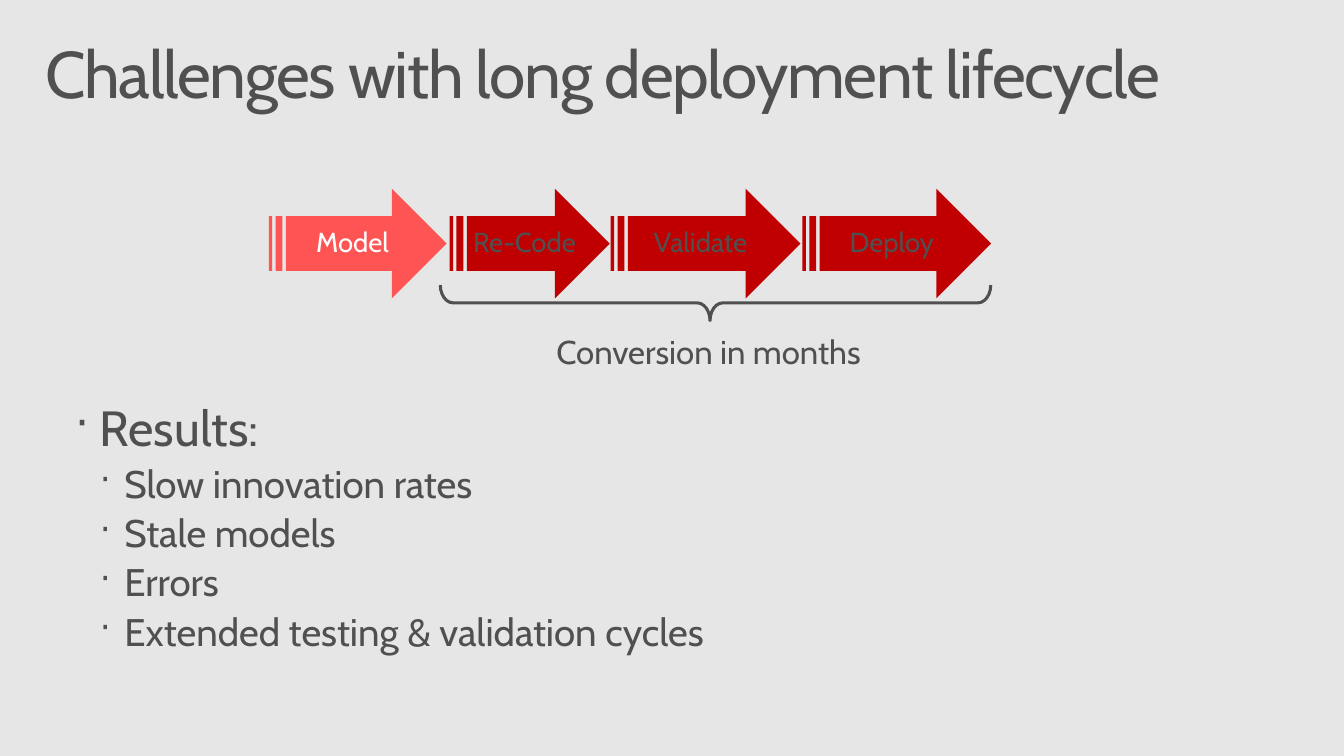
from dataclasses import dataclass

from lxml import etree
from pptx import Presentation
from pptx.dml.color import RGBColor
from pptx.enum.shapes import MSO_SHAPE
from pptx.enum.text import MSO_ANCHOR, PP_ALIGN
from pptx.oxml.ns import qn
from pptx.util import Inches, Pt

STRIPED_ARROW = MSO_SHAPE.STRIPED_RIGHT_ARROW
RIGHT_BRACE = MSO_SHAPE.RIGHT_BRACE
TOP, MIDDLE = MSO_ANCHOR.TOP, MSO_ANCHOR.MIDDLE
LEFT, CENTER = PP_ALIGN.LEFT, PP_ALIGN.CENTER
TITLE_ONLY = 5


@dataclass(frozen=True)
class Theme:
    font: str = "Cabin"
    background: RGBColor = RGBColor(0xE6, 0xE6, 0xE6)
    text: RGBColor = RGBColor(0x50, 0x50, 0x50)
    white: RGBColor = RGBColor(0xFF, 0xFF, 0xFF)
    model: RGBColor = RGBColor(0xFF, 0x54, 0x54)
    conversion: RGBColor = RGBColor(0xC0, 0x00, 0x00)
    title_size: int = 48
    heading_size: int = 36
    item_size: int = 28
    caption_size: int = 24
    arrow_size: int = 20


theme = Theme()


def set_frame(frame, side, vertical, anchor=TOP):
    frame.word_wrap = True
    frame.vertical_anchor = anchor
    frame.margin_left = frame.margin_right = Inches(side)
    frame.margin_top = frame.margin_bottom = Inches(vertical)


def write(paragraph, text, size, color=theme.text, align=LEFT):
    paragraph.text = text
    paragraph.alignment = align
    paragraph.line_spacing = 0.9
    paragraph.font.name = theme.font
    paragraph.font.size = Pt(size)
    paragraph.font.color.rgb = color


presentation = Presentation()
presentation.slide_width = Inches(13.6)
presentation.slide_height = Inches(7.65)
slide = presentation.slides.add_slide(presentation.slide_layouts[TITLE_ONLY])
slide.background.fill.solid()
slide.background.fill.fore_color.rgb = theme.background

# Title
title = slide.shapes.title
title.left, title.top = Inches(0.3), Inches(0.32)
title.width, title.height = Inches(13), Inches(1)
set_frame(title.text_frame, 0.16, 0.1)
title_paragraph = title.text_frame.paragraphs[0]
write(title_paragraph, "Challenges with long deployment lifecycle", theme.title_size)
title_paragraph.runs[0].font._element.set("spc", "-100")

# Results list
results = slide.shapes.add_textbox(Inches(0.6), Inches(3.99), Inches(13), Inches(2.82))
set_frame(results.text_frame, 0.16, 0.1)
result_lines = [
    ("Results:", 0),
    ("Slow innovation rates", 1),
    ("Stale models", 1),
    ("Errors", 1),
    ("Extended testing & validation cycles", 1),
]
for index, (text, level) in enumerate(result_lines):
    paragraph = results.text_frame.paragraphs[0] if index == 0 else results.text_frame.add_paragraph()
    size = theme.item_size if level else theme.heading_size
    write(paragraph, text, size)
    paragraph.level = level
    paragraph.space_before = Pt(0.2 * size)
    properties = paragraph._p.get_or_add_pPr()
    properties.set("marL", str(Inches(0.25 * (level + 1))))
    properties.set("indent", str(Inches(-0.25)))
    bullet_size = etree.Element(qn("a:buSzPct"), val="90000")
    bullet = etree.Element(qn("a:buChar"), char="·")
    spacing = properties.find(qn("a:spcBef"))
    spacing.addnext(bullet_size)
    bullet_size.addnext(bullet)

# Lifecycle arrows
stages = [
    ("Model", 2.72, 1.8, theme.model, theme.white),
    ("Re-Code", 4.55, 1.62, theme.conversion, theme.text),
    ("Validate", 6.18, 1.92, theme.conversion, theme.text),
    ("Deploy", 8.12, 1.91, theme.conversion, theme.text),
]
for label, left, width, fill_color, label_color in stages:
    arrow = slide.shapes.add_shape(STRIPED_ARROW, Inches(left), Inches(1.91), Inches(width), Inches(1.11))
    arrow.shadow.inherit = False
    arrow.fill.solid()
    arrow.fill.fore_color.rgb = fill_color
    arrow.line.fill.background()
    set_frame(arrow.text_frame, 0, 0.16, MIDDLE)
    write(arrow.text_frame.paragraphs[0], label, theme.arrow_size, label_color, CENTER)

# Brace under the conversion stages, turned to point down
brace = slide.shapes.add_shape(RIGHT_BRACE, Inches(7.06), Inches(0.28), Inches(0.36), Inches(5.57))
brace.rotation = 90
brace.adjustments[0] = 0.36
brace.adjustments[1] = 0.51
brace.shadow.inherit = False
brace.fill.background()
brace.line.color.rgb = theme.text
brace.line.width = Pt(2.25)

# Brace caption
caption = slide.shapes.add_textbox(Inches(5.43), Inches(3.24), Inches(3.64), Inches(0.69))
set_frame(caption.text_frame, 0.2, 0.16)
write(caption.text_frame.paragraphs[0], "Conversion in months", theme.caption_size)

presentation.save("out.pptx")
